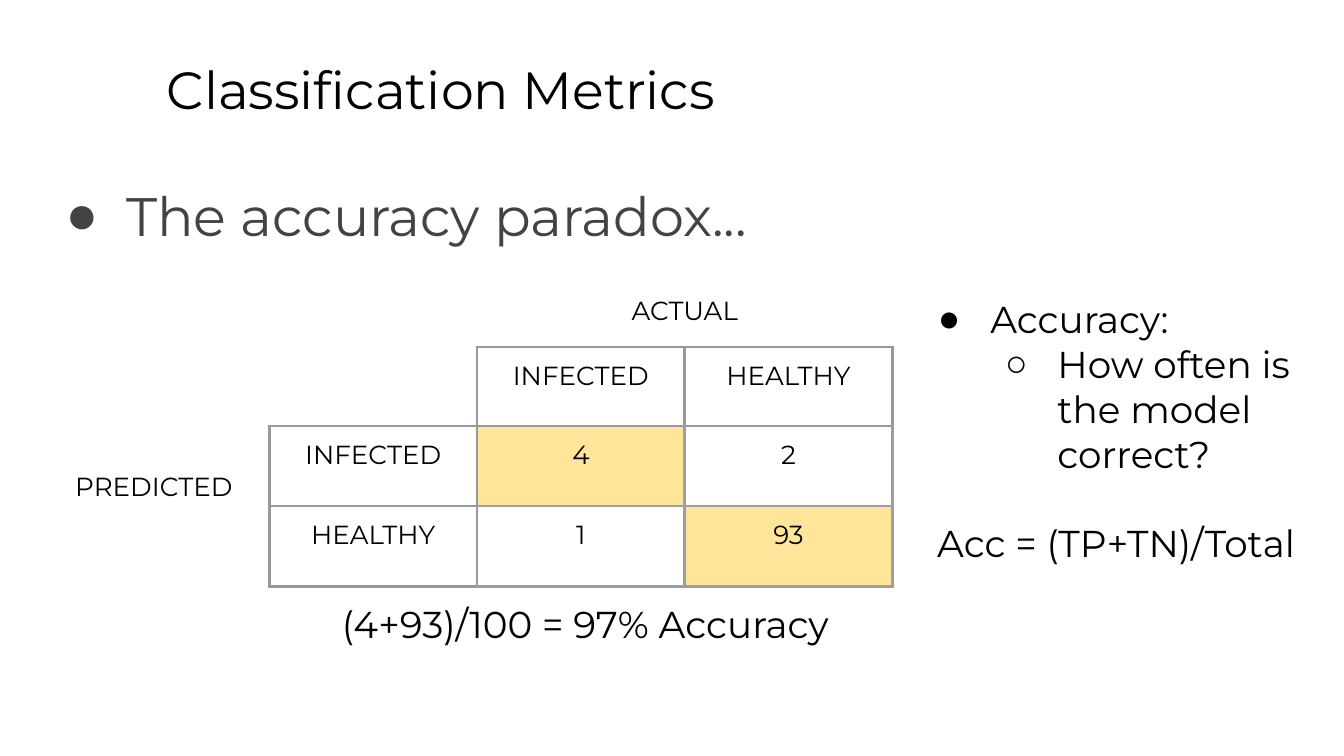
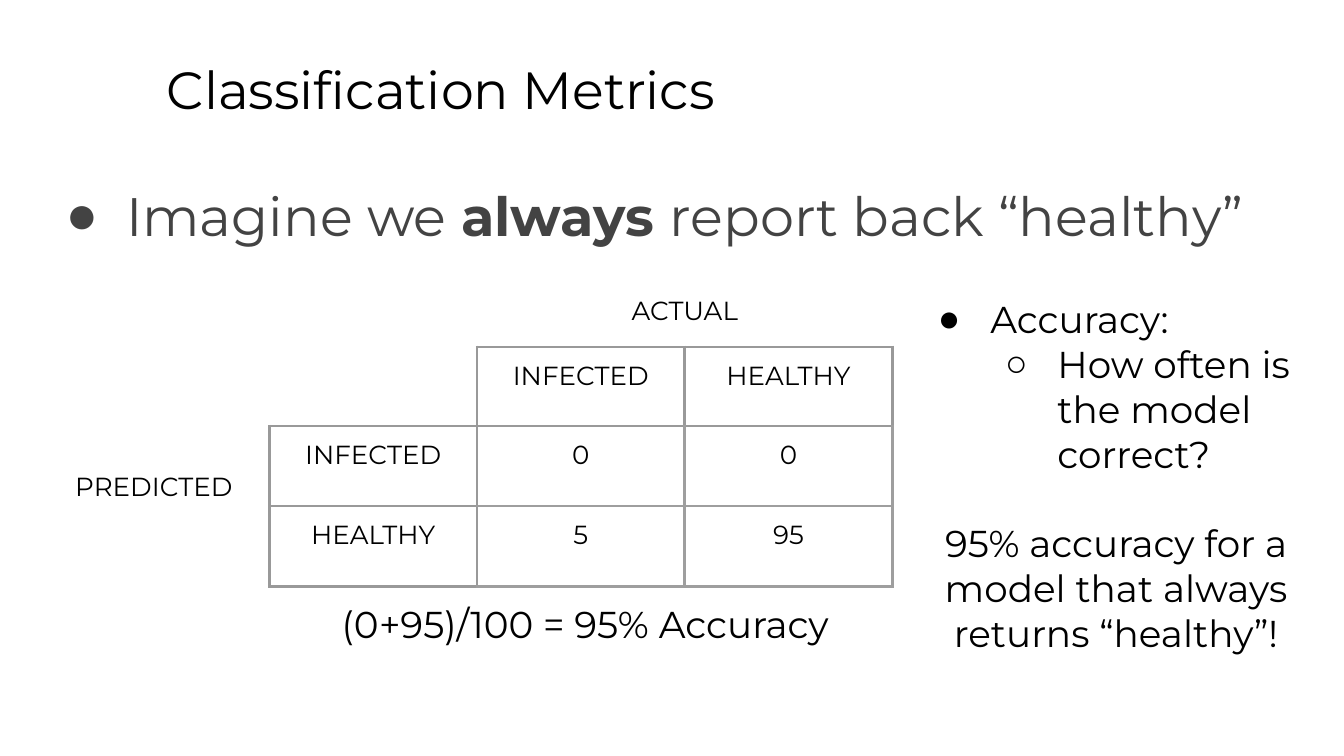
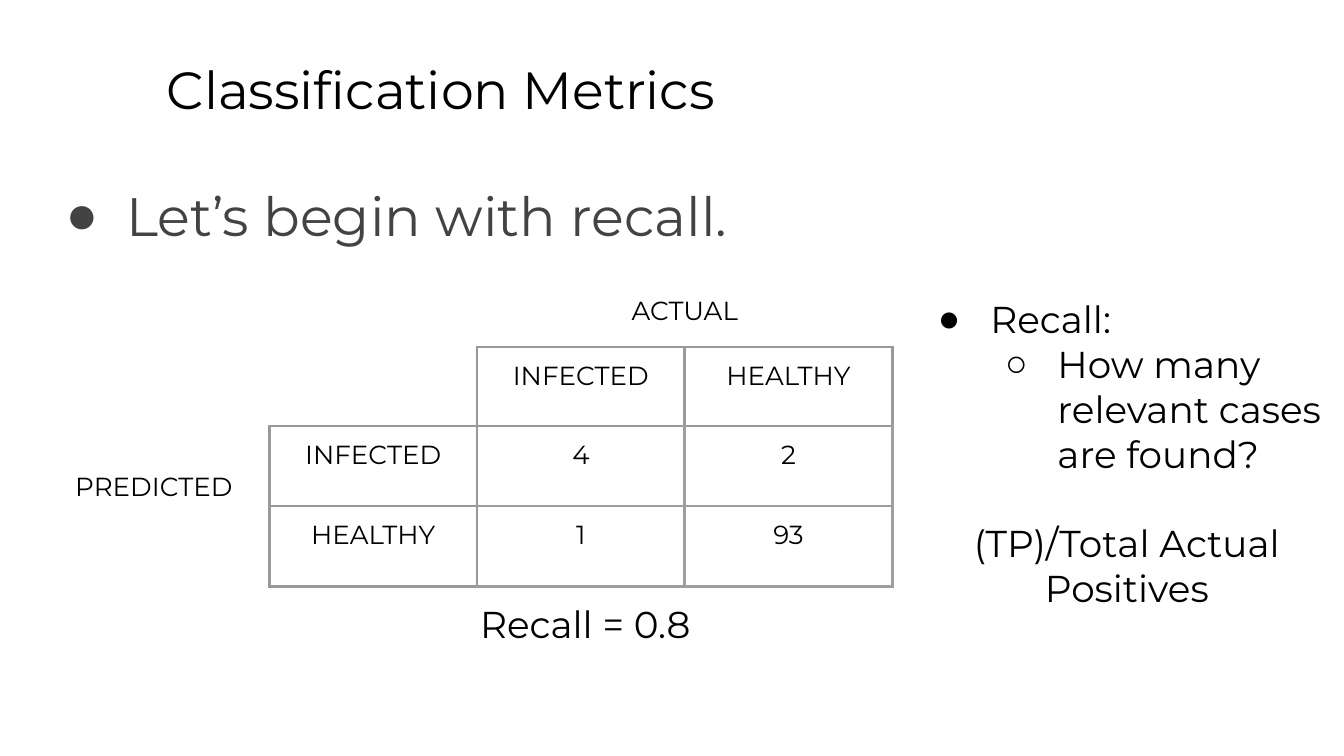
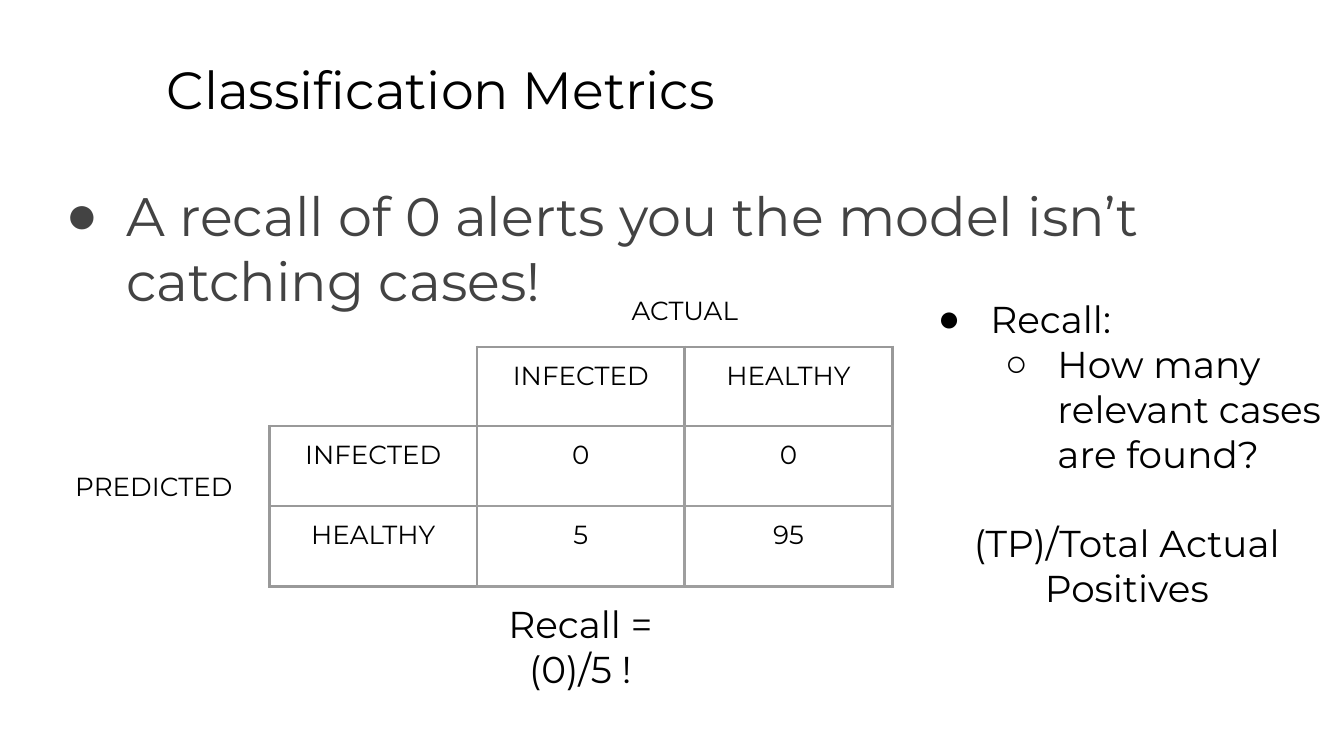
from dataclasses import dataclass
from typing import NamedTuple

from lxml.etree import SubElement
from pptx import Presentation
from pptx.dml.color import RGBColor
from pptx.enum.text import MSO_AUTO_SIZE as AutoSize, PP_ALIGN as Align
from pptx.oxml.ns import qn
from pptx.util import Pt

EMU_PER_PX = 4572


@dataclass(frozen=True)
class Theme:
    font: str = "Montserrat"
    bullet_font: str = "Arial"
    ink: str = "000000"
    headline: str = "434343"
    label_line: str = "999999"
    count_line: str = "9E9E9E"
    highlight: str = "FFE599"
    title_size: int = 28
    headline_size: int = 29
    note_size: int = 20
    table_size: int = 14
    line_width: float = 1.5
    inset: int = 20


class Box(NamedTuple):
    left: int
    top: int
    width: int
    height: int


class Bullet(NamedTuple):
    mark: str
    left: int
    hanging: int


class Metric(NamedTuple):
    headline: str
    counts: tuple
    highlighted: tuple
    name: str
    question: str
    remark: str
    result: tuple
    note_width: int


THEME = Theme()
PAGE = Box(0, 0, 2000, 1125)
HEADLINE_BULLET = Bullet("●", 100, 90)
NAME_BULLET = Bullet("●", 100, 78)
QUESTION_BULLET = Bullet("○", 200, 78)
CLASSES = ("INFECTED", "HEALTHY")
COLUMN_WIDTH = 309
ROW_HEIGHTS = (96, 118, 119, 120)
PREDICTED_INSET = 68
SIDES = {"lnL": (0, -1), "lnR": (0, 1), "lnT": (-1, 0), "lnB": (1, 0)}

MODEL_COUNTS = ((4, 2), (1, 93))
ALWAYS_HEALTHY_COUNTS = ((0, 0), (5, 95))
ACCURACY = {"name": "Accuracy:", "question": "How often is the model correct?", "note_width": 614}
RECALL = {"name": "Recall:", "question": "How many relevant cases are found?",
          "remark": "(TP)/Total Actual Positives", "note_width": 646}

METRICS = (
    Metric(headline="The accuracy paradox...", counts=MODEL_COUNTS,
           highlighted=((0, 0), (1, 1)), remark="Acc = (TP+TN)/Total",
           result=("(4+93)/100 = 97% Accuracy",), **ACCURACY),
    Metric(headline="Imagine we **always **report back “healthy”",
           counts=ALWAYS_HEALTHY_COUNTS, highlighted=(),
           remark="95% accuracy for a model that always returns “healthy”!",
           result=("(0+95)/100 = 95% Accuracy",), **ACCURACY),
    Metric(headline="Let’s begin with recall.", counts=MODEL_COUNTS,
           highlighted=(), result=("Recall = 0.8",), **RECALL),
    Metric(headline="A recall of 0 alerts you the model isn’t catching cases!",
           counts=ALWAYS_HEALTHY_COUNTS, highlighted=(),
           result=("Recall = ", "(0)/5 ! "), **RECALL),
)


def px(length):
    return length * EMU_PER_PX


def set_insets(holder, top=THEME.inset):
    holder.margin_left = holder.margin_right = holder.margin_bottom = px(THEME.inset)
    holder.margin_top = px(top)


def set_bullet(paragraph, bullet, color):
    properties = paragraph._p.get_or_add_pPr()
    properties.set("marL", str(px(bullet.left)))
    properties.set("indent", str(-px(bullet.hanging)))
    SubElement(SubElement(properties, qn("a:buClr")), qn("a:srgbClr"), val=color)
    SubElement(properties, qn("a:buFont"), typeface=THEME.bullet_font)
    SubElement(properties, qn("a:buChar"), char=bullet.mark)


def write(frame, text, size, color=THEME.ink, align=Align.LEFT, bullet=None, level=0, before=0):
    first = frame.paragraphs[0]
    paragraph = frame.add_paragraph() if first.runs else first
    paragraph.alignment = align
    paragraph.level = level
    if bullet:
        set_bullet(paragraph, bullet, color)
    if before:
        paragraph.space_before = Pt(before)
    for index, part in enumerate(text.split("**")):
        run = paragraph.add_run()
        run.text = part
        run.font.name = THEME.font
        run.font.size = Pt(size)
        run.font.bold = index % 2 == 1
        run.font.color.rgb = RGBColor.from_string(color)


def add_frame(slide, box):
    frame = slide.shapes.add_textbox(*map(px, box)).text_frame
    frame.word_wrap = True
    frame.auto_size = AutoSize.NONE
    set_insets(frame)
    return frame


def add_title(slide, box):
    write(add_frame(slide, box), "Classification Metrics", THEME.title_size)


def add_headline(slide, box, text):
    write(add_frame(slide, box), text, THEME.headline_size,
          color=THEME.headline, bullet=HEADLINE_BULLET)


def is_lined(row, column):
    return row in (1, 2, 3) and column in (1, 2, 3) and (row, column) != (1, 1)


def is_count(row, column):
    return row in (2, 3) and column in (2, 3)


def draw_borders(cell, row, column):
    properties = cell._tc.get_or_add_tcPr()
    for position, (tag, (down, right)) in enumerate(SIDES.items()):
        neighbour = (row + down, column + right)
        line = SubElement(properties, qn("a:" + tag), w=str(Pt(THEME.line_width)))
        properties.insert(position, line)
        if not (is_lined(row, column) or is_lined(*neighbour)):
            SubElement(line, qn("a:noFill"))
            continue
        faces_label = is_lined(*neighbour) and not is_count(*neighbour)
        inner = is_count(row, column) and not faces_label
        color = THEME.count_line if inner else THEME.label_line
        SubElement(SubElement(line, qn("a:solidFill")), qn("a:srgbClr"), val=color)


def fill_cell(table, row, column, text, align=Align.CENTER, top=THEME.inset):
    cell = table.cell(row, column)
    set_insets(cell, top)
    write(cell.text_frame, text, THEME.table_size, align=align)


def add_confusion_matrix(slide, box, counts, highlighted):
    table = slide.shapes.add_table(4, 4, *map(px, box)).table
    table.first_row = table.horz_banding = False
    for column in table.columns:
        column.width = px(COLUMN_WIDTH)
    for row, height in zip(table.rows, ROW_HEIGHTS):
        row.height = px(height)

    for row in range(4):
        for column in range(4):
            cell = table.cell(row, column)
            if (row - 2, column - 2) in highlighted:
                cell.fill.solid()
                cell.fill.fore_color.rgb = RGBColor.from_string(THEME.highlight)
            else:
                cell.fill.background()
            draw_borders(cell, row, column)

    table.cell(0, 2).merge(table.cell(0, 3))
    table.cell(2, 0).merge(table.cell(3, 0))
    fill_cell(table, 0, 2, "ACTUAL")
    fill_cell(table, 2, 0, "PREDICTED", align=Align.LEFT, top=PREDICTED_INSET)
    for index, label in enumerate(CLASSES, start=2):
        fill_cell(table, 1, index, label)
        fill_cell(table, index, 1, label)
    for row, values in enumerate(counts, start=2):
        for column, value in enumerate(values, start=2):
            fill_cell(table, row, column, str(value))


def add_definition(slide, box, metric):
    frame = add_frame(slide, box)
    size = THEME.note_size
    write(frame, metric.name, size, bullet=NAME_BULLET)
    write(frame, metric.question, size, bullet=QUESTION_BULLET, level=1)
    write(frame, metric.remark, size, align=Align.CENTER, before=24)


def add_result(slide, box, lines):
    frame = add_frame(slide, box)
    for line in lines:
        write(frame, line, THEME.note_size, align=Align.CENTER)


def add_metric_slide(presentation, page, metric):
    slide = presentation.slides.add_slide(presentation.slide_layouts[6])

    def within(left, top, width, height):
        return Box(page.left + left, page.top + top, width, height)

    add_title(slide, within(228, 65, 1704, 126))
    add_headline(slide, within(68, 252, 1900, 748), metric.headline)
    add_confusion_matrix(slide, within(92, 420, 4 * COLUMN_WIDTH, sum(ROW_HEIGHTS)),
                         metric.counts, metric.highlighted)
    add_definition(slide, within(1354, 421, metric.note_width, 658), metric)
    add_result(slide, within(404, 875, 934, 188), metric.result)


def main():
    presentation = Presentation()
    presentation.slide_width = px(PAGE.width)
    presentation.slide_height = px(PAGE.height)
    for metric in METRICS:
        add_metric_slide(presentation, PAGE, metric)
    presentation.save("out.pptx")


if __name__ == "__main__":
    main()
